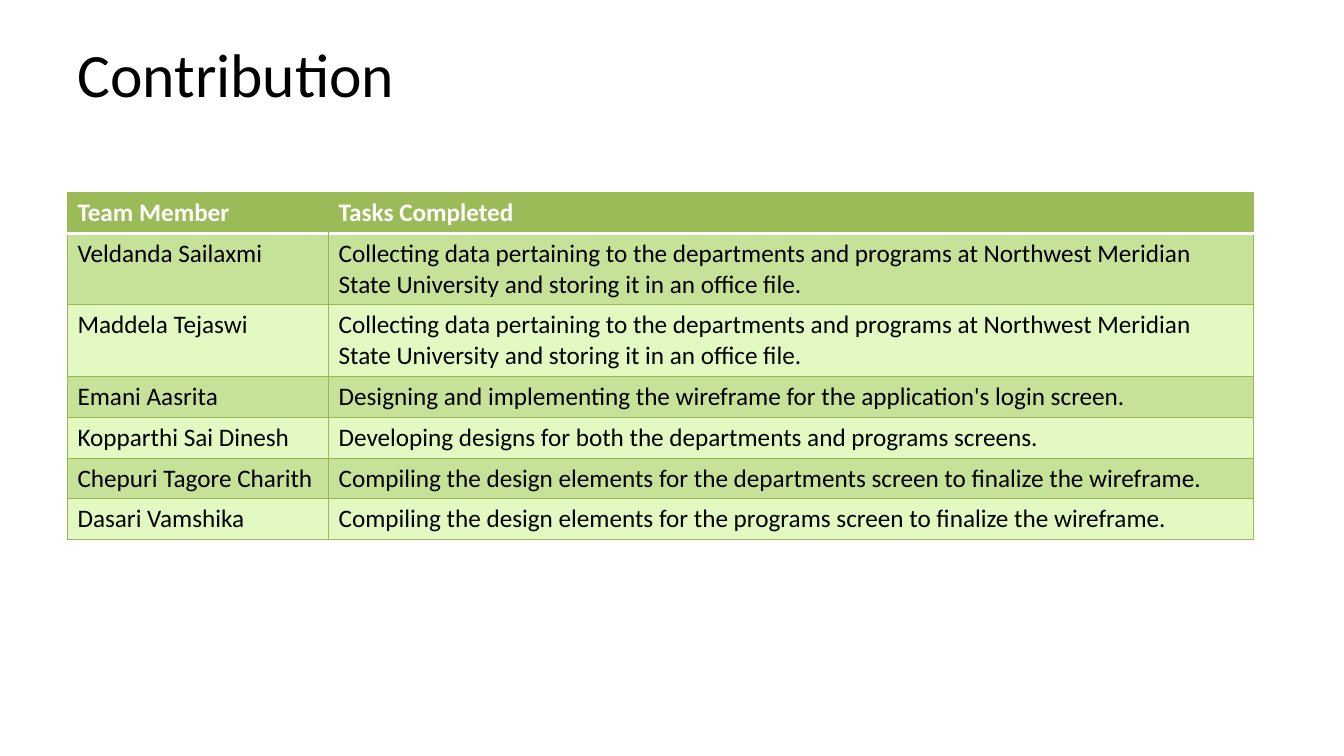
from lxml.etree import SubElement as Sub
from pptx import Presentation
from pptx.dml.color import RGBColor
from pptx.enum.text import MSO_ANCHOR
from pptx.oxml.ns import qn
from pptx.util import Cm, Pt

BLACK = RGBColor(0x00, 0x00, 0x00)
WHITE = RGBColor(0xFF, 0xFF, 0xFF)
GREEN = RGBColor(0x9B, 0xBB, 0x59)
EDGE = RGBColor(0x98, 0xB9, 0x55)
DARK = RGBColor(0xC6, 0xE1, 0x98)
LIGHT = RGBColor(0xE2, 0xFA, 0xC2)

COLLECT = ("Collecting data pertaining to the departments and programs at "
           "Northwest Meridian State University and storing it in an office file.")
ROWS = [
    ("Team Member", "Tasks Completed"),
    ("Veldanda Sailaxmi", COLLECT),
    ("Maddela Tejaswi", COLLECT),
    ("Emani Aasrita", "Designing and implementing the wireframe for the "
                      "application's login screen."),
    ("Kopparthi Sai Dinesh", "Developing designs for both the departments "
                             "and programs screens."),
    ("Chepuri Tagore Charith", "Compiling the design elements for the "
                               "departments screen to finalize the wireframe."),
    ("Dasari Vamshika", "Compiling the design elements for the programs "
                        "screen to finalize the wireframe."),
]
WIDTHS = [Cm(6.58), Cm(23.32)]


def style(par, size, color, bold=False):
    font = par.font
    font.name = "Calibri"
    font.size = Pt(size)
    font.bold = bold
    font.color.rgb = color


def border(cell, side, color, width):
    """Draw one edge (L, R, T or B); call before filling the cell."""
    line = Sub(cell._tc.get_or_add_tcPr(), qn("a:ln" + side), w=str(Pt(width)))
    Sub(Sub(line, qn("a:solidFill")), qn("a:srgbClr"), val=str(color))


deck = Presentation()
deck.slide_width, deck.slide_height = Cm(33.87), Cm(19.05)
slide = deck.slides.add_slide(deck.slide_layouts[6])

# Title
title = slide.shapes.add_textbox(Cm(1.7), Cm(0.76), Cm(30.48), Cm(2.13))
frame = title.text_frame
frame.word_wrap = True
frame.vertical_anchor = MSO_ANCHOR.MIDDLE
frame.text = "Contribution"
style(frame.paragraphs[0], 44, BLACK)

# Table of members and tasks
table = slide.shapes.add_table(len(ROWS), 2, Cm(1.7), Cm(4.85),
                               sum(WIDTHS), Cm(8.75)).table
table.first_row = table.horz_banding = False
for col, width in zip(table.columns, WIDTHS):
    col.width = width

for r, texts in enumerate(ROWS):
    head = r == 0
    table.rows[r].height = Cm(1.8) if COLLECT in texts else Cm(1.03)
    for c, text in enumerate(texts):
        cell = table.cell(r, c)
        cell.text = text
        style(cell.text_frame.paragraphs[0], 18, WHITE if head else BLACK, head)
        inner = GREEN if head else EDGE
        border(cell, "L", EDGE if c == 0 else inner, 0.75)
        border(cell, "R", EDGE if c == 1 else inner, 0.75)
        border(cell, "T", *((WHITE, 2) if r == 1 else (EDGE, 0.75)))
        border(cell, "B", *((WHITE, 2) if head else (EDGE, 0.75)))
        cell.fill.solid()
        cell.fill.fore_color.rgb = GREEN if head else DARK if r % 2 else LIGHT

deck.save("out.pptx")
